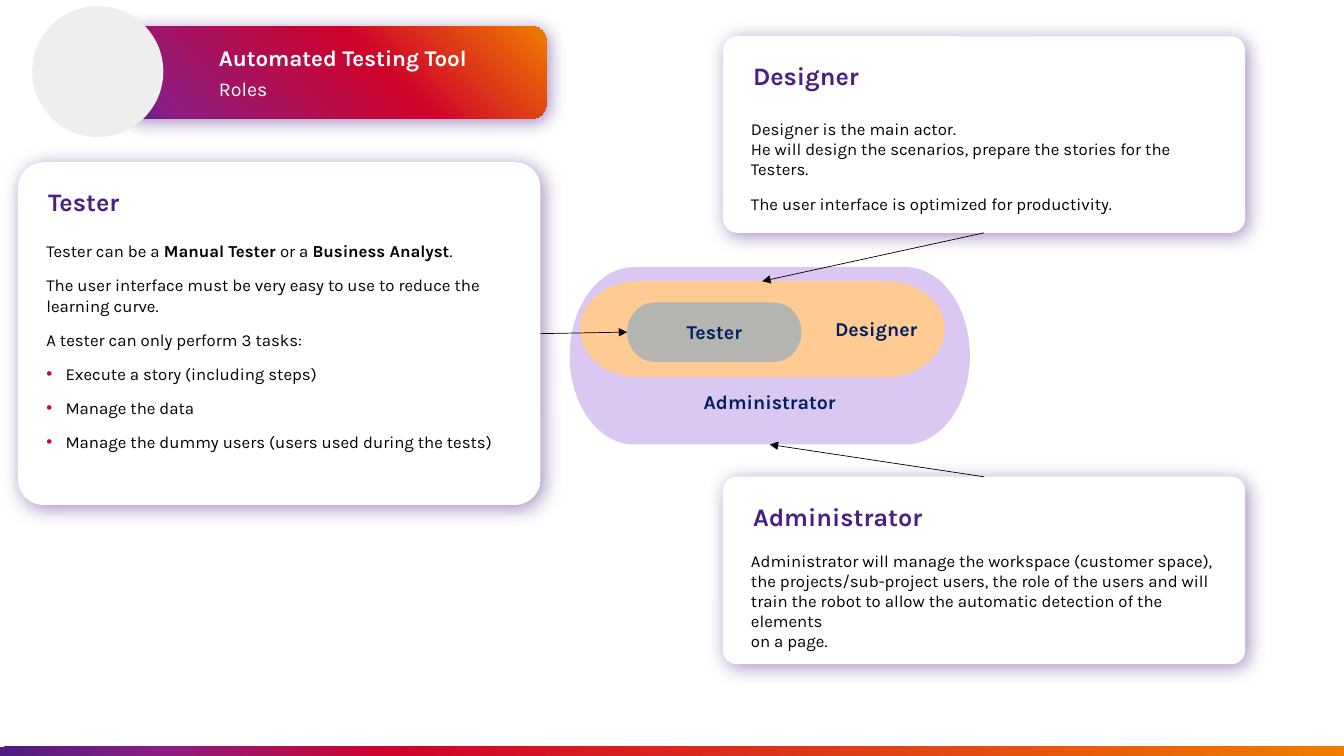
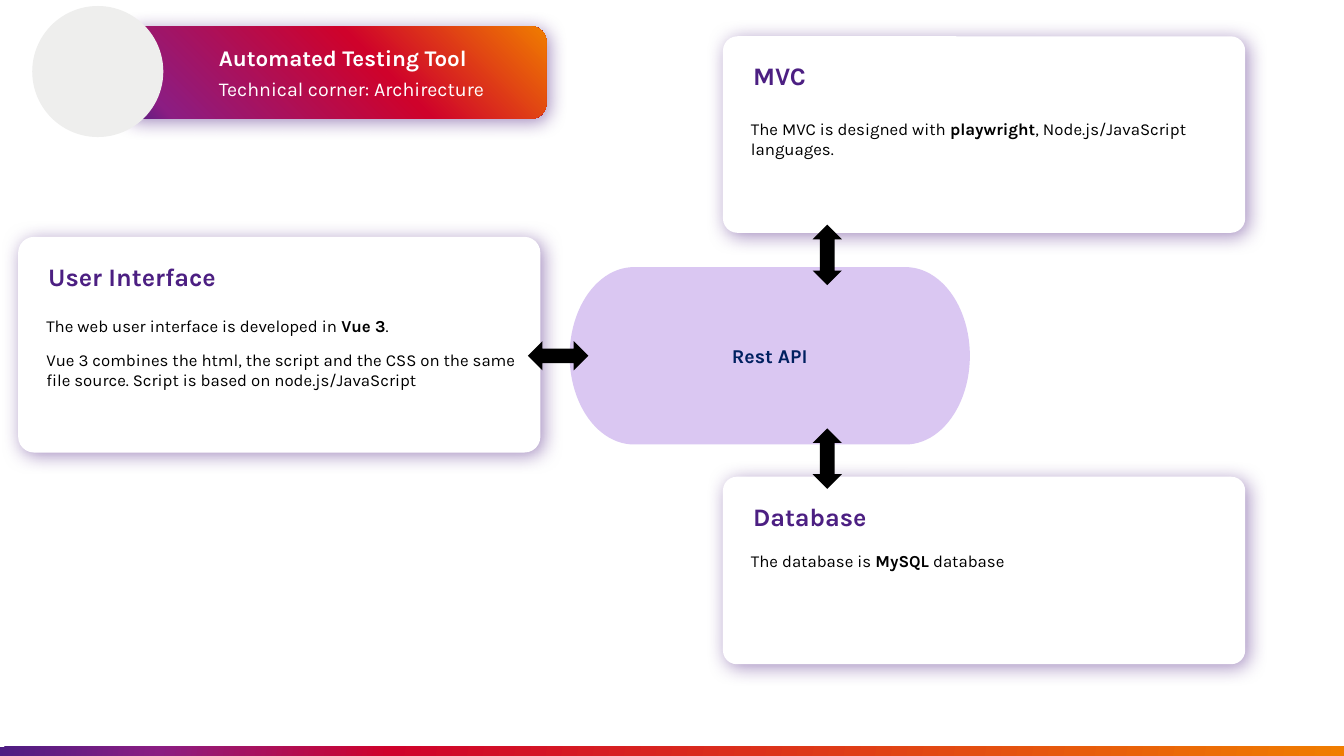
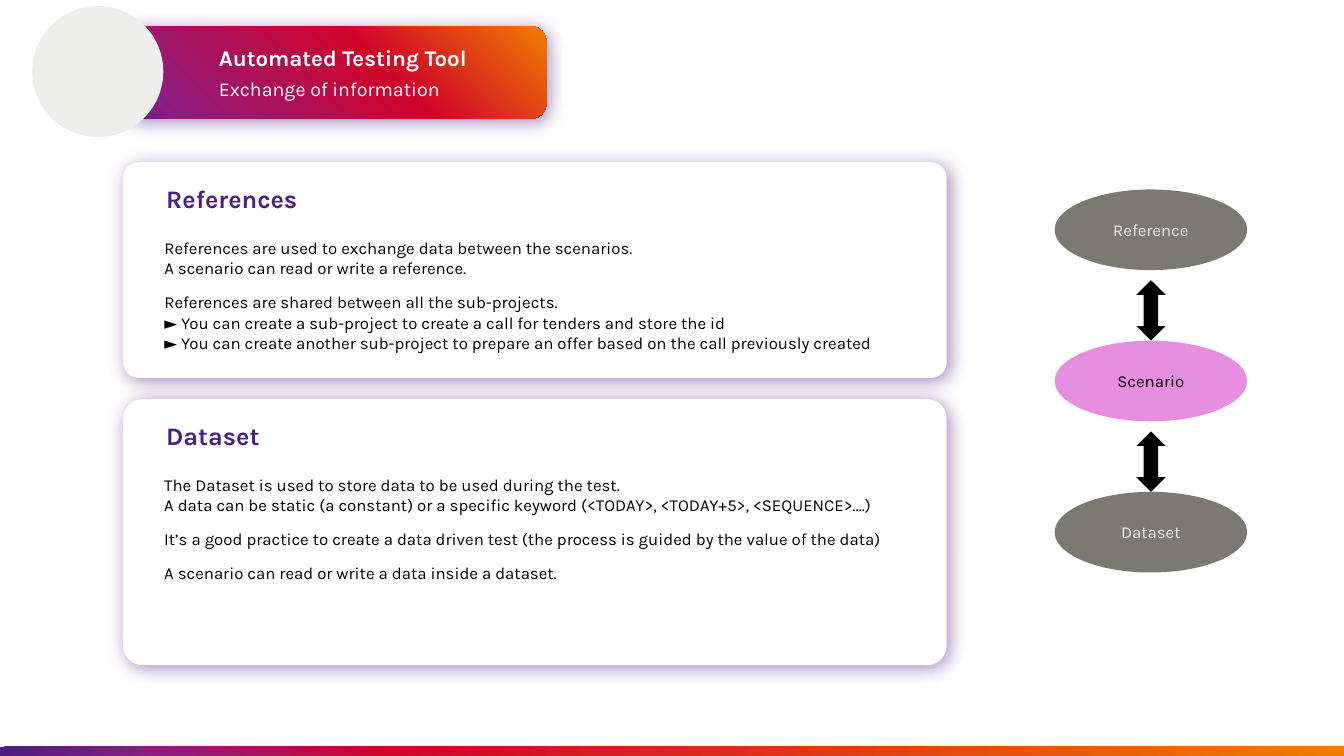
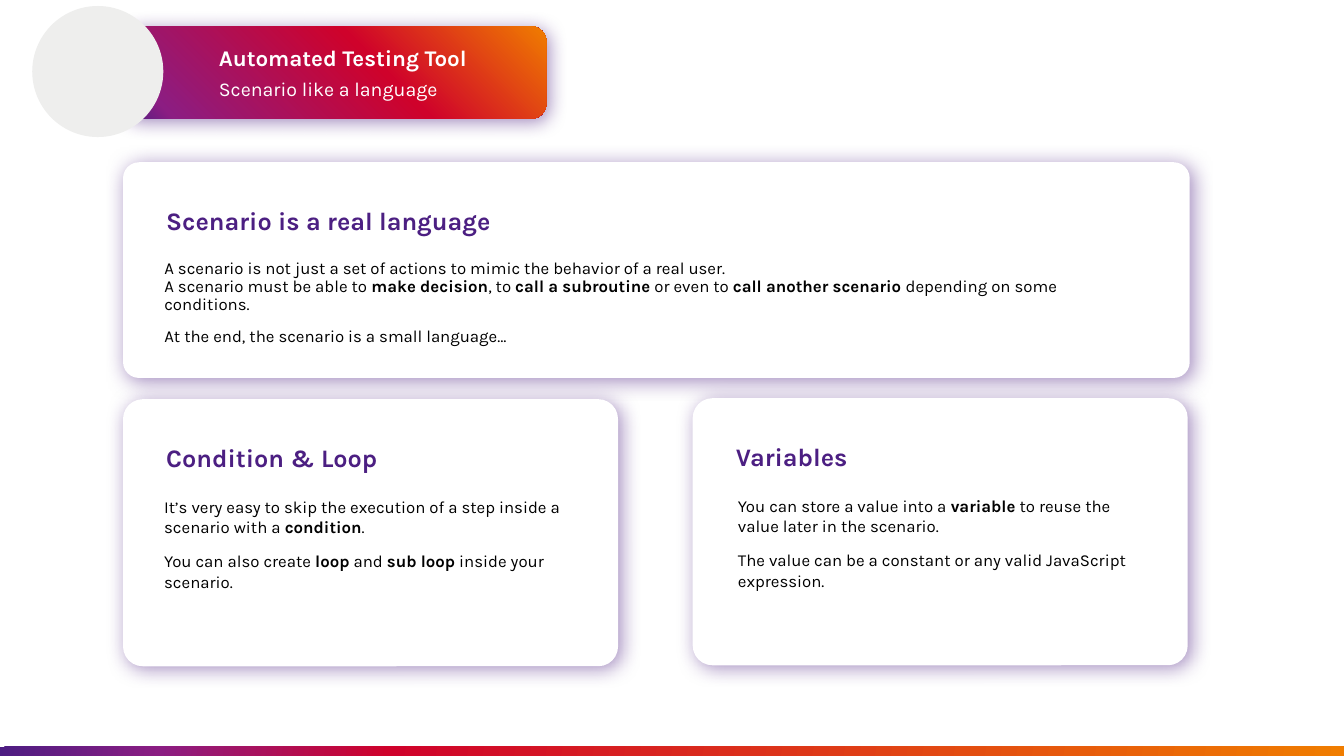
import dataclasses

import pptx
import pptx.dml.color
import pptx.enum.shapes
import pptx.enum.text
import pptx.oxml
import pptx.oxml.ns
import pptx.util
from lxml import etree
from pptx.dml.color import RGBColor
from pptx.enum.shapes import MSO_SHAPE
from pptx.enum.text import MSO_ANCHOR, PP_ALIGN
from pptx.oxml.ns import qn
from pptx.util import Inches, Pt

FONT = "Karla"
WHITE = RGBColor(0xFF, 0xFF, 0xFF)
BLACK = RGBColor(0x00, 0x00, 0x00)
PURPLE = RGBColor(0x4C, 0x1F, 0x82)
RED = RGBColor(0xCF, 0x02, 0x2B)
NAVY = RGBColor(0x00, 0x20, 0x60)
LILAC = RGBColor(0xDA, 0xC7, 0xF2)
PEACH = RGBColor(0xFF, 0xCB, 0x93)
SILVER = RGBColor(0xB4, 0xB4, 0xB0)
GRAY = RGBColor(0x7A, 0x7A, 0x73)
PINK = RGBColor(0xE8, 0x8E, 0xE0)
PALE = RGBColor(0xEE, 0xEE, 0xED)

BANNER_STOPS = [(0, PURPLE), (10, RGBColor(0x8C, 0x1D, 0x82)), (60, RED),
                (100, RGBColor(0xF0, 0x7D, 0x00))]
FOOTER_STOPS = [(0, RGBColor(0x4D, 0x1D, 0x82)), (12, RGBColor(0x8B, 0x1D, 0x82)),
                (29, RED), (100, RGBColor(0xF0, 0x7D, 0x00))]

TOP, LEFT, BOTTOM, RIGHT = range(4)  # connection sites
SUBTITLE, BODY = 1, 2  # placeholder indexes
ADMIN_FRAME = (5.65, 2.65, 3.97, 1.76)


@dataclasses.dataclass
class CardText:
    """Offsets of the texts from the corner of their card, in inches."""
    title_left: float
    title_top: float
    body_left: float
    body_top: float
    body_width: float


LEFT_CARD = CardText(0.2, 0.19, 0.18, 0.73, 4.94)
UPPER_CARD = dataclasses.replace(LEFT_CARD, body_top=0.77)
LOWER_CARD = dataclasses.replace(LEFT_CARD, body_top=0.68)
WIDE_CARD = CardText(0.33, 0.16, 0.31, 0.7, 7.62)
LANGUAGE_CARD = CardText(0.33, 0.38, 0.31, 0.92, 9.73)
LOOP_CARD = dataclasses.replace(LANGUAGE_CARD, body_width=4.32)
VARIABLE_CARD = dataclasses.replace(LOOP_CARD, body_left=0.35)


# Text

def set_bullet(paragraph, bulleted):
    properties = paragraph._p.get_or_add_pPr()
    indent = Inches(0.19) if bulleted else 0
    properties.set("marL", str(indent))
    properties.set("indent", str(-indent))
    if bulleted:
        color = etree.SubElement(properties, qn("a:buClr"))
        etree.SubElement(color, qn("a:srgbClr"), val=str(RED))
        etree.SubElement(properties, qn("a:buChar"), char="•")
    else:
        etree.SubElement(properties, qn("a:buNone"))


def add_marked_text(paragraph, text):
    """Add runs: ** switches bold, a newline breaks the line."""
    for position, part in enumerate(text.split("**")):
        for number, line in enumerate(part.split("\n")):
            if number:
                paragraph.add_line_break()
            if line:
                run = paragraph.add_run()
                run.text = line
                if position % 2:
                    run.font.bold = True


def write(shape, texts, size, color, bold=False, align=PP_ALIGN.LEFT,
          anchor=MSO_ANCHOR.TOP, line_spacing=1.0):
    """Fill a shape with paragraphs; a leading bullet makes a list item."""
    frame = shape.text_frame
    frame.word_wrap = True
    frame.auto_size = pptx.enum.text.MSO_AUTO_SIZE.NONE
    frame.vertical_anchor = anchor
    for number, text in enumerate(texts):
        paragraph = frame.add_paragraph() if number else frame.paragraphs[0]
        paragraph.alignment = align
        paragraph.line_spacing = line_spacing
        paragraph.space_before = Pt(5 if number else 0)
        paragraph.space_after = Pt(5)
        set_bullet(paragraph, text.startswith("• "))
        font = paragraph.font
        font.name, font.size, font.bold = FONT, Pt(size), bold
        font.color.rgb = color
        add_marked_text(paragraph, text.removeprefix("• "))


# Shapes

def place(shape, frame):
    shape.left, shape.top, shape.width, shape.height = map(Inches, frame)


def add_shape(slide, kind, frame, fill=None):
    shape = slide.shapes.add_shape(kind, *map(Inches, frame))
    if fill is not None:
        shape.fill.solid()
        shape.fill.fore_color.rgb = fill
    shape.line.fill.background()
    shape.shadow.inherit = False
    return shape


def add_label(slide, kind, frame, fill, text, size=14, color=NAVY, bold=True,
              align=PP_ALIGN.CENTER, anchor=MSO_ANCHOR.MIDDLE):
    shape = add_shape(slide, kind, frame, fill)
    write(shape, [text], size, color, bold, align, anchor)
    return shape


def set_gradient(shape, stops, angle):
    shape.fill.gradient()
    shape.fill.gradient_angle = angle
    stop_list = shape.element.spPr.find(".//" + qn("a:gsLst"))
    for stop in list(stop_list):
        stop_list.remove(stop)
    for percent, color in stops:
        stop = etree.SubElement(stop_list, qn("a:gs"), pos=str(percent * 1000))
        etree.SubElement(stop, qn("a:srgbClr"), val=str(color))


def set_glow_shadow(shape, blur):
    effects = shape.element.spPr.find(qn("a:effectLst"))
    shadow = etree.SubElement(effects, qn("a:outerShdw"), blurRad=str(Pt(blur)),
                              dist=str(Pt(3)), dir=str(45 * 60000),
                              algn="tl", rotWithShape="0")
    color = etree.SubElement(shadow, qn("a:srgbClr"), val=str(PURPLE))
    etree.SubElement(color, qn("a:alpha"), val="50000")


def add_double_arrow(slide, left, top, rotation=0):
    arrow = add_shape(slide, MSO_SHAPE.UP_DOWN_ARROW, (left, top, 0.29, 0.6), BLACK)
    arrow.rotation = rotation


def connect(slide, source, source_site, target, target_site):
    connector = slide.shapes.add_connector(
        pptx.enum.shapes.MSO_CONNECTOR.STRAIGHT, 0, 0, 0, 0)
    connector.begin_connect(source, source_site)
    connector.end_connect(target, target_site)
    connector.line.color.rgb = BLACK
    connector.line.width = Pt(0.5)
    etree.SubElement(connector.line._get_or_add_ln(), qn("a:tailEnd"), type="triangle")
    etree.SubElement(connector.element.spPr, qn("a:effectLst"))


def add_card(slide, frame, offsets, title, texts, body=None, line_spacing=1.0):
    """Draw a white card; its text goes into body, or into a new text box."""
    left, top, width, height = frame
    card = add_shape(slide, MSO_SHAPE.ROUNDED_RECTANGLE, frame, WHITE)
    card.adjustments[0] = 0.074
    set_glow_shadow(card, 13.9)
    title_box = slide.shapes.add_textbox(
        Inches(left + offsets.title_left), Inches(top + offsets.title_top),
        Inches(4.51), Inches(0.41))
    write(title_box, [title], 18, PURPLE, bold=True)
    if body is None:
        body = slide.shapes.add_textbox(0, 0, 0, 0)
    else:
        slide.shapes.element.append(body.element)  # bring in front of the card
    place(body, (left + offsets.body_left, top + offsets.body_top,
                 offsets.body_width, height - offsets.body_top - 0.05))
    write(body, texts, 12, BLACK, line_spacing=line_spacing)
    return card


# Shared layout

def prepare_layout(presentation):
    """Put the banner, disc and footer band on the layout of all slides."""
    layout = presentation.slide_layouts[3]
    frames = {0: (2.07, 0.39, 3.29, 0.38), SUBTITLE: (2.07, 0.71, 3.35, 0.4)}
    for placeholder in layout.placeholders:
        index = placeholder.placeholder_format.idx
        if index in frames:
            place(placeholder, frames[index])
    return layout


def decorate_layout(layout, slide):
    """Draw the shared shapes and move them from the slide to the layout."""
    footer = add_shape(slide, MSO_SHAPE.RECTANGLE, (-0.01, 7.41, 13.35, 0.12))
    set_gradient(footer, FOOTER_STOPS, 350)
    banner = add_shape(slide, MSO_SHAPE.ROUNDED_RECTANGLE, (1.22, 0.26, 4.2, 0.92))
    set_gradient(banner, BANNER_STOPS, 45)
    set_glow_shadow(banner, 13)
    disc = add_shape(slide, MSO_SHAPE.OVAL, (0.32, 0.06, 1.3, 1.3), PALE)
    for shape in (footer, banner, disc):
        layout.shapes.element.append(shape.element)


def start_slide(presentation, layout, subtitle):
    slide = presentation.slides.add_slide(layout)
    write(slide.shapes.title, ["Automated Testing Tool"], 16, WHITE, bold=True)
    write(slide.placeholders[SUBTITLE], [subtitle], 14, WHITE)
    return slide, slide.placeholders[BODY]


# Slides

def fill_roles(slide, body):
    tester_card = add_card(slide, (0.18, 1.61, 5.18, 3.4), LEFT_CARD, "Tester", [
        "Tester can be a **Manual Tester** or a **Business Analyst**.",
        "The user interface must be very easy to use to reduce the learning curve.",
        "A tester can only perform 3 tasks:",
        "• Execute a story (including steps)",
        "• Manage the data",
        "• Manage the dummy users (users used during the tests)"], body)
    admin_card = add_card(
        slide, (7.17, 4.73, 5.18, 1.86), LOWER_CARD, "Administrator", [
            "Administrator will manage the workspace (customer space), the "
            "projects/sub-project users, the role of the users and will train the "
            "robot to allow the automatic detection of the elements \non a page."])
    designer_card = add_card(
        slide, (7.17, 0.36, 5.18, 1.95), UPPER_CARD, "Designer", [
            "Designer is the main actor.\nHe will design the scenarios, prepare "
            "the stories for the Testers.",
            "The user interface is optimized for productivity."])
    pill = MSO_SHAPE.FLOWCHART_TERMINATOR
    admin = add_label(slide, pill, ADMIN_FRAME, LILAC, "Administrator",
                      anchor=MSO_ANCHOR.BOTTOM)
    designer = add_label(slide, pill, (5.75, 2.79, 3.62, 0.95), PEACH, "Designer",
                         align=PP_ALIGN.RIGHT)
    tester = add_label(slide, pill, (6.22, 3, 1.73, 0.59), SILVER, "Tester")
    connect(slide, designer_card, BOTTOM, designer, TOP)
    connect(slide, tester_card, RIGHT, tester, LEFT)
    connect(slide, admin_card, TOP, admin, BOTTOM)


def fill_architecture(slide, body):
    add_card(slide, (0.18, 2.35, 5.18, 2.14), LEFT_CARD, "User Interface", [
        "The web user interface is developed in **Vue 3**.",
        "Vue 3 combines the html, the script and the CSS on the same file source. "
        "Script is based on node.js/JavaScript"], body)
    add_card(slide, (7.17, 4.73, 5.18, 1.86), LOWER_CARD, "Database", [
        "The database is **MySQL** database"])
    add_card(slide, (7.17, 0.36, 5.18, 1.95), UPPER_CARD, "MVC", [
        "The MVC is designed with **playwright**, Node.js/JavaScript languages."])
    add_label(slide, MSO_SHAPE.FLOWCHART_TERMINATOR, ADMIN_FRAME, LILAC, "Rest API")
    add_double_arrow(slide, 8.06, 2.23)
    add_double_arrow(slide, 8.06, 4.25)
    add_double_arrow(slide, 5.39, 3.23, rotation=90)


def fill_exchange(slide, body):
    add_card(slide, (1.22, 1.61, 8.17, 2.14), WIDE_CARD, "References", [
        "References are used to exchange data between the scenarios.\n"
        "A scenario can read or write a reference.",
        "References are shared between all the sub-projects.\n"
        "► You can create a sub-project to create a call for tenders and store the id\n"
        "► You can create another sub-project to prepare an offer based on the call "
        "previously created"], body)
    add_card(slide, (1.22, 3.96, 8.17, 2.64), WIDE_CARD, "Dataset", [
        "The Dataset is used to store data to be used during the test.\n"
        "A data can be static (a constant) or a specific keyword "
        "(<TODAY>, <TODAY+5>, <SEQUENCE>….)",
        "It’s a good practice to create a data driven test (the process is guided by "
        "the value of the data)",
        "A scenario can read or write a data inside a dataset."])
    step = 1.5
    nodes = [("Reference", GRAY, PALE), ("Scenario", PINK, BLACK),
             ("Dataset", GRAY, PALE)]
    for number, (text, fill, color) in enumerate(nodes):
        top = 1.88 + number * step
        add_label(slide, MSO_SHAPE.OVAL, (10.46, top, 1.91, 0.8), fill, text,
                  size=12, color=color, bold=False)
        if number < len(nodes) - 1:
            add_double_arrow(slide, 11.27, top + 0.9)


def fill_language(slide, body):
    add_card(slide, (1.22, 1.61, 10.58, 2.14), LANGUAGE_CARD,
             "Scenario is a real language", [
                 "A scenario is not just a set of actions to mimic the behavior of a "
                 "real user.\nA scenario must be able to **make decision**, to **call a "
                 "subroutine** or even to **call another scenario **depending on some "
                 "conditions.",
                 "At the end, the scenario is a small language…"],
             body, line_spacing=0.9)
    add_card(slide, (1.22, 3.96, 4.91, 2.65), LOOP_CARD, "Condition & Loop", [
        "It’s very easy to skip the execution of a step inside a scenario with a "
        "**condition**.",
        "You can also create **loop** and **sub loop** inside your scenario."])
    add_card(slide, (6.87, 3.95, 4.91, 2.65), VARIABLE_CARD, "Variables", [
        "You can store a value into a **variable** to reuse the value later in the "
        "scenario.",
        "The value can be a constant or any valid JavaScript expression."])


def main():
    presentation = pptx.Presentation()
    presentation.slide_width = Inches(13.33)
    presentation.slide_height = Inches(7.5)
    layout = prepare_layout(presentation)
    contents = [("Roles", fill_roles),
                ("Technical corner: Archirecture", fill_architecture),
                ("Exchange of information", fill_exchange),
                ("Scenario like a language", fill_language)]
    for number, (subtitle, fill_slide) in enumerate(contents):
        slide, body = start_slide(presentation, layout, subtitle)
        if number == 0:
            decorate_layout(layout, slide)
        fill_slide(slide, body)
    presentation.save("out.pptx")


if __name__ == "__main__":
    main()
